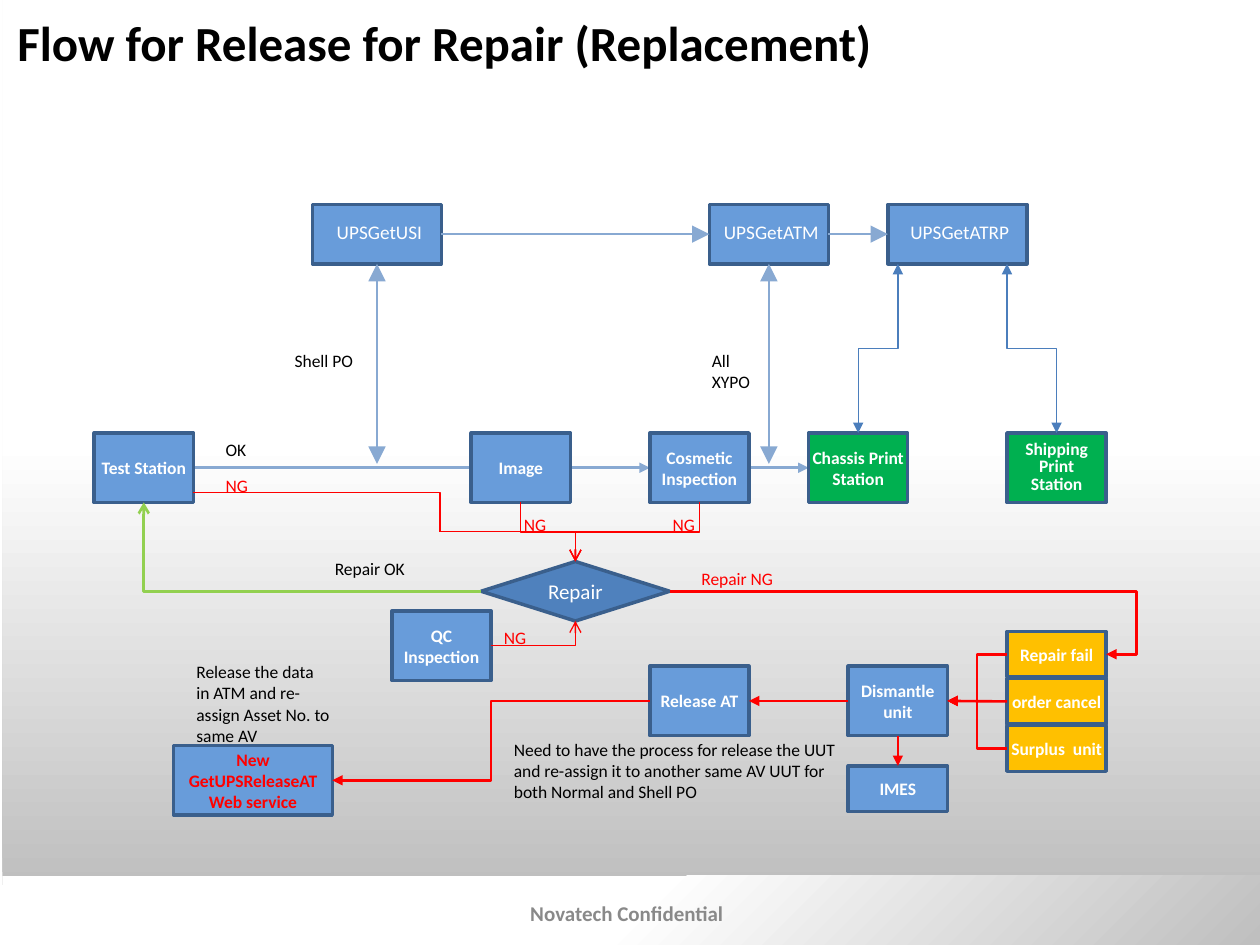
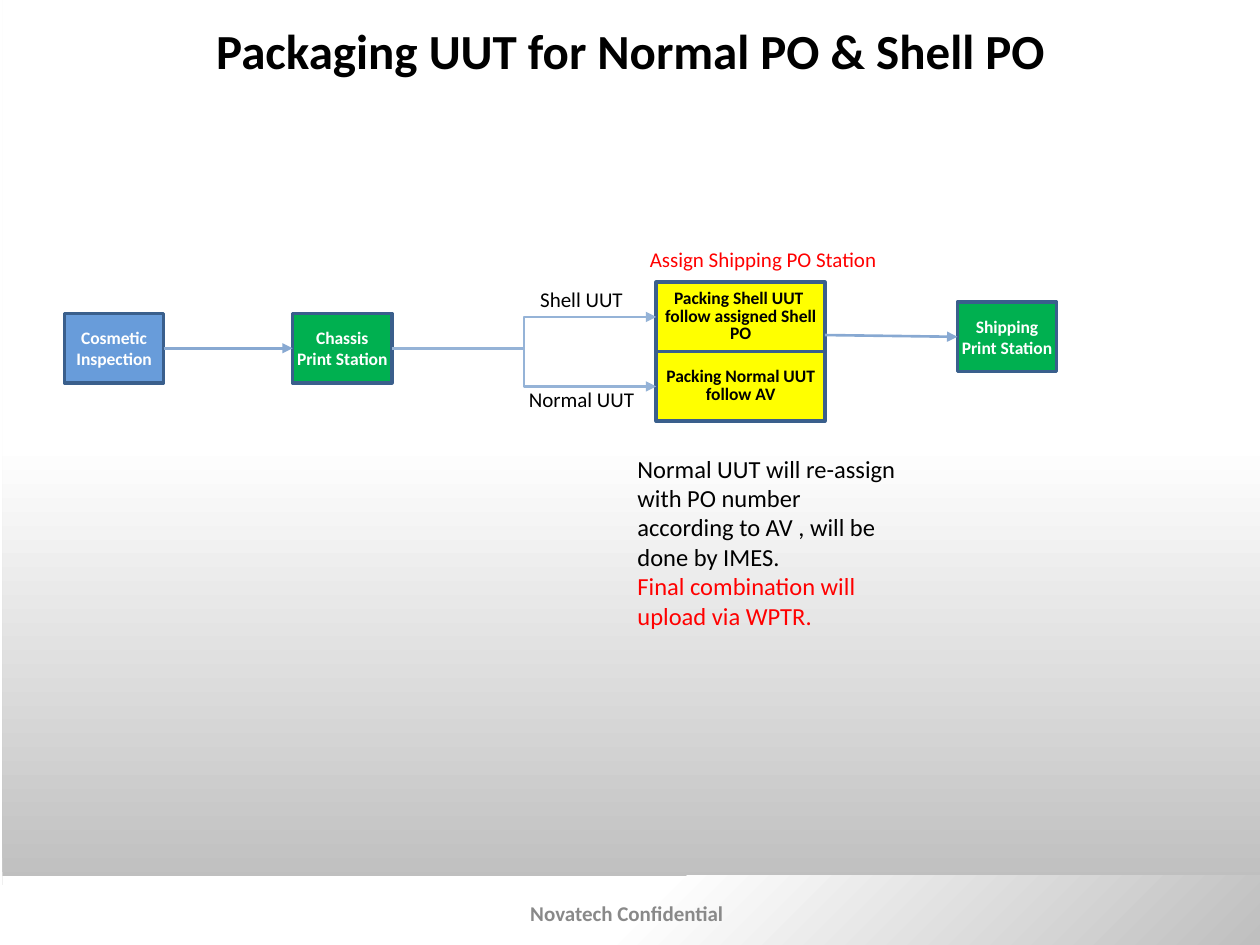
from dataclasses import dataclass

from lxml import etree
from pptx import Presentation
from pptx import util as u
from pptx.dml import color as c
from pptx.enum import shapes, text
from pptx.oxml import ns

FONT = "Calibri"
WHITE, BLACK, RED, GREY = "FFFFFF", "000000", "FF0000", "BFBFBF"
BLUE, GREEN, AMBER, YELLOW = "689CDA", "00B050", "FFC000", "FFFF00"
OUTLINE, DIAMOND, FOOTER = "3A5F8C", "4F81BD", "898989"
FLOW, BRANCH, SYNC, FIXED = "88A9D2", "95B3D7", "4B7EBC", "92D050"
STEP = (2, 1.4)


@dataclass
class Box:
    """A rectangle in centimetres with named edges."""
    left: float
    top: float
    width: float
    height: float

    def sub(self, dx, dy, width, height):
        """Return a box placed relative to this one."""
        return Box(self.left + dx, self.top + dy, width, height)

    def point(self, across, down):
        """Return the point at the given fractions of width and height."""
        return self.left + across * self.width, self.top + down * self.height

    @property
    def west(self):
        """Middle of the left edge."""
        return self.point(0, 0.5)

    @property
    def east(self):
        """Middle of the right edge."""
        return self.point(1, 0.5)

    @property
    def north(self):
        """Middle of the top edge."""
        return self.point(0.5, 0)

    @property
    def south(self):
        """Middle of the bottom edge."""
        return self.point(0.5, 1)

    def lengths(self):
        """Return the box as four slide lengths."""
        return [u.Cm(v) for v in (self.left, self.top, self.width, self.height)]


def rgb(value):
    """Turn a hex string into a colour."""
    return c.RGBColor.from_string(value)


def write(frame, caption, size, color, bold=False, align=None, leading=None):
    """Fill a text frame and format all its runs."""
    frame.text = caption
    for para in frame.paragraphs:
        para.alignment = align
        para.line_spacing = leading
        for span in para.runs:
            font = span.font
            font.name, font.size, font.bold = FONT, u.Pt(size), bold
            font.color.rgb = rgb(color)


def node(page, box, caption, fill=BLUE, color=WHITE, size=10, bold=True,
         leading=None, inset=(0, 0.13), kind=shapes.MSO_SHAPE.RECTANGLE):
    """Draw one outlined step and return its box."""
    shape = page.shapes.add_shape(kind, *box.lengths())
    shape.shadow.inherit = False
    shape.fill.solid()
    shape.fill.fore_color.rgb = rgb(fill)
    shape.line.color.rgb = rgb(OUTLINE)
    shape.line.width = u.Pt(2)
    frame = shape.text_frame
    frame.word_wrap = True
    frame.vertical_anchor = text.MSO_ANCHOR.MIDDLE
    frame.margin_left, frame.margin_right = u.Cm(inset[0]), 0
    frame.margin_top = frame.margin_bottom = u.Cm(inset[1])
    write(frame, caption, size, color, bold, text.PP_ALIGN.CENTER, leading)
    return box


def label(page, box, caption, color=BLACK, size=10, bold=False, wrap=True):
    """Place plain text and return its frame."""
    frame = page.shapes.add_textbox(*box.lengths()).text_frame
    frame.word_wrap = wrap
    write(frame, caption, size, color, bold)
    return frame


def link(page, start, end, color=FLOW, width=1.5, head=None, tail="triangle",
         route="straight", bend=0.5, tip="med"):
    """Join two points: straight, across (H-V-H), down (V-H-V) or corner (H-V)."""
    (x1, y1), (x2, y2) = start, end
    if route == "down":
        mid_x, mid_y = (x1 + x2) / 2, (y1 + y2) / 2
        half_w, half_h = (x2 - x1) / 2, (y2 - y1) / 2
        x1, y1, x2, y2 = mid_x - half_h, mid_y + half_w, mid_x + half_h, mid_y - half_w
    kinds = shapes.MSO_CONNECTOR
    kind = kinds.STRAIGHT if route == "straight" else kinds.ELBOW
    line = page.shapes.add_connector(kind, *[u.Cm(v) for v in (x1, y1, x2, y2)])
    line.line.color.rgb = rgb(color)
    line.line.width = u.Pt(width)
    props = line._element.spPr
    geometry = props.find(ns.qn("a:prstGeom"))
    if route == "down":
        props.find(ns.qn("a:xfrm")).set("rot", "5400000")
    if route == "corner":
        geometry.set("prst", "bentConnector2")
    elif route != "straight":
        guide = etree.SubElement(geometry.find(ns.qn("a:avLst")), ns.qn("a:gd"))
        guide.set("name", "adj1")
        guide.set("fmla", f"val {round(bend * 100000)}")
    for tag, style in (("a:headEnd", head), ("a:tailEnd", tail)):
        if style:
            etree.SubElement(props.find(ns.qn("a:ln")), ns.qn(tag),
                             {"type": style, "w": tip, "len": tip})
    etree.SubElement(props, ns.qn("a:effectLst"))


def shade(page, box):
    """Draw a panel that fades from grey at the bottom to white."""
    panel = page.shapes.add_shape(shapes.MSO_SHAPE.RECTANGLE, *box.lengths())
    panel.shadow.inherit = False
    panel.line.fill.background()
    panel.fill.gradient()
    panel.fill.gradient_angle = 90
    for stop, color, position in zip(panel.fill.gradient_stops, (GREY, WHITE), (0, 0.5)):
        stop.color.rgb = rgb(color)
        stop.position = position
    return panel


def backdrop(page, box):
    """Draw the shaded page, the footer band and its wording."""
    shade(page, box.sub(0.05, 0, box.width - 0.05, 17.85))
    band = shade(page, box.sub(0.05, 17.65, box.width - 0.05, 1.4))
    linear = band._element.spPr.find(f".//{ns.qn('a:lin')}")
    radial = etree.Element(ns.qn("a:path"), {"path": "circle"})
    etree.SubElement(radial, ns.qn("a:fillToRect"), {"l": "100000", "t": "100000"})
    linear.getparent().replace(linear, radial)
    label(page, box.sub(10.44, 18.03, 6, 0.76), "Novatech Confidential",
          FOOTER, 12, True)


def new_page(deck, title, title_box):
    """Add a blank slide with the shared backdrop and a title."""
    page = deck.slides.add_slide(deck.slide_layouts[6])
    backdrop(page, Box(0, 0, 25.4, 19.05))
    label(page, title_box, title, BLACK, 28, True, wrap=False)
    return page


def services(page, box):
    """Draw the row of lookup services."""
    row = [node(page, box.sub(dx, 0, width, box.height), name, size=11, bold=False,
                leading=u.Pt(10), inset=(0.1, 0.13))
           for name, dx, width in (("UPSGetUSI", 0, 2.6), ("UPSGetATM", 8, 2.4),
                                   ("UPSGetATRP", 11.6, 2.8))]
    for before, after in zip(row, row[1:]):
        link(page, before.east, after.west, tip="lg")
    return row


def stations(page, box):
    """Draw the row of production stations."""
    test, image, cosmetic, chassis, shipping = [
        box.sub(dx, 0, *STEP) for dx in (0, 7.6, 11.2, 14.4, 18.4)]
    link(page, test.east, cosmetic.west)
    link(page, cosmetic.east, chassis.west)
    node(page, test, "Test Station")
    node(page, image, "Image")
    node(page, cosmetic, "Cosmetic Inspection")
    node(page, chassis, "Chassis Print Station", GREEN)
    node(page, shipping, "Shipping Print\nStation", GREEN, leading=u.Pt(10), inset=(0, 0))
    label(page, box.sub(2.4, 0, 1.2, 0.69), "OK")
    for dx, dy in ((2.4, 0.72), (8.41, 1.51), (11.41, 1.51)):
        label(page, box.sub(dx, dy, 1, 0.69), "NG", RED)
    return test, image, cosmetic, chassis, shipping


def lookups(page, row, line):
    """Join the services to the stations that call them."""
    usi, atm, atrp = row
    chassis, shipping = line[3:]
    for service in (usi, atm):
        x, y = service.south
        link(page, (x, y), (x, chassis.west[1] - 0.08), head="triangle", tip="lg")
    x, y = atrp.point(0, 1)
    for dx, station in ((0.2, chassis), (2.4, shipping)):
        link(page, (x + dx, y), station.north, SYNC, 0.75, "triangle", route="down")
    label(page, usi.sub(-0.61, 2.81, 1.8, 0.69), "Shell PO")
    label(page, atm.sub(-0.2, 2.81, 1.6, 1.1), "All XYPO")


def repair(page, box, line):
    """Draw the repair decision and the failures that lead to it."""
    test, image, cosmetic = line[:3]
    check = node(page, box.sub(1.8, 0, 3.8, 1.2), "Repair", DIAMOND, size=12, bold=False,
                 kind=shapes.MSO_SHAPE.FLOWCHART_DECISION)
    quality = node(page, box.sub(0, 1, *STEP), "QC\nInspection")
    turn = box.left + 0.97, box.top - 0.6
    link(page, test.point(1, 0.86), turn, RED, 0.75, tail=None, route="corner")
    link(page, turn, check.north, RED, 0.75, tail="arrow", route="corner")
    for station in (image, cosmetic):
        link(page, station.south, check.north, RED, 0.75, tail="arrow", route="down")
    link(page, quality.east, check.south, RED, 0.75, tail="arrow", route="corner")
    link(page, check.west, test.south, FIXED, tail="arrow", route="corner")
    label(page, box.sub(2.01, 1.2, 1, 0.69), "NG", RED)
    label(page, box.sub(-1.4, -0.19, 2.4, 0.69), "Repair OK")
    label(page, box.sub(5.99, 0.01, 2.4, 0.69), "Repair NG", RED)
    return check


def release(page, box, check):
    """Draw the steps that release a unit which cannot be repaired."""
    service = node(page, box.sub(0, 2.3, 3.2, 1.4), "New GetUPSReleaseAT Web service", color=RED)
    freed = node(page, box.sub(9.6, 0.7, *STEP), "Release AT")
    dismantle = node(page, box.sub(13.6, 0.7, *STEP), "Dismantle unit")
    imes = node(page, box.sub(13.6, 2.71, 2, 0.92), "IMES")
    reasons = [node(page, box.sub(16.8, i * 0.95, 2, 0.92), name, AMBER)
               for i, name in enumerate(("Repair fail", "order cancel", "Surplus  unit"))]
    link(page, check.east, reasons[0].east, RED, route="across", bend=1.07)
    for reason, route in zip(reasons, ("across", "straight", "across")):
        link(page, reason.west, dismantle.east, RED, route=route)
    link(page, dismantle.south, imes.north, RED)
    link(page, dismantle.west, freed.east, RED)
    link(page, freed.west, service.east, RED, route="across")
    label(page, box.sub(0.21, 0.48, 3.2, 1.95),
          "Release the data in ATM and re-assign Asset No. to same AV")
    label(page, box.sub(6.61, 2.05, 7.19, 1.55),
          "Need to have the process for release the UUT and re-assign it to "
          "another same AV UUT for both Normal and Shell PO")


def packaging(page, box):
    """Draw the packaging line with its two packing routes."""
    cosmetic = node(page, box.sub(0, 0.63, *STEP), "Cosmetic Inspection")
    chassis = node(page, box.sub(4.6, 0.63, *STEP), "Chassis\nPrint Station", GREEN)
    shipping = node(page, box.sub(18, 0.4, *STEP), "Shipping Print Station", GREEN)
    packing = box.sub(11.93, 0, 3.4, 2.8)
    link(page, cosmetic.east, chassis.west)
    for i, caption in enumerate(("Packing Shell UUT  follow assigned Shell PO",
                                 "Packing Normal UUT follow AV")):
        half = node(page, packing.sub(0, i * 1.4, 3.4, 1.4), caption, YELLOW, BLACK,
                    leading=u.Pt(10), inset=(0, 0))
        link(page, chassis.east, half.west, BRANCH, route="across")
    link(page, packing.point(1, 0.38), shipping.west)
    for caption, color, place in (
            ("Shell UUT", BLACK, (9.34, -0.03, 2.21, 0.76)),
            ("Normal UUT", BLACK, (9.11, 1.98, 2.67, 0.76)),
            ("Assign Shipping PO Station", RED, (11.55, -0.84, 5.13, 0.76))):
        label(page, box.sub(*place), caption, color, 12, wrap=False)
    remark = label(page, box.sub(11.3, 3.33, 5.72, 3.84),
                   "Normal UUT will re-assign with PO number according to AV , "
                   "will be done by IMES.\nFinal combination will upload via WPTR.", size=14)
    remark.paragraphs[1].runs[0].font.color.rgb = rgb(RED)


def main():
    """Build both slides and save the deck."""
    deck = Presentation()
    deck.slide_width, deck.slide_height = u.Cm(25.4), u.Cm(19.05)

    page = new_page(deck, "Flow for Release for Repair (Replacement)",
                    Box(0.1, 0.13, 17.93, 1.45))
    row = services(page, Box(6.3, 4.12, 14.4, 1.2))
    line = stations(page, Box(1.9, 8.73, 20.4, 1.4))
    lookups(page, row, line)
    check = repair(page, Box(7.9, 11.32, 5.6, 2.4), line)
    release(page, Box(3.5, 12.73, 18.8, 3.7), check)

    page = new_page(deck, "Packaging UUT for Normal PO & Shell PO",
                    Box(4.11, 0.28, 17.4, 1.45))
    packaging(page, Box(1.3, 5.69, 20, 2.8))
    deck.save("out.pptx")


if __name__ == "__main__":
    main()
